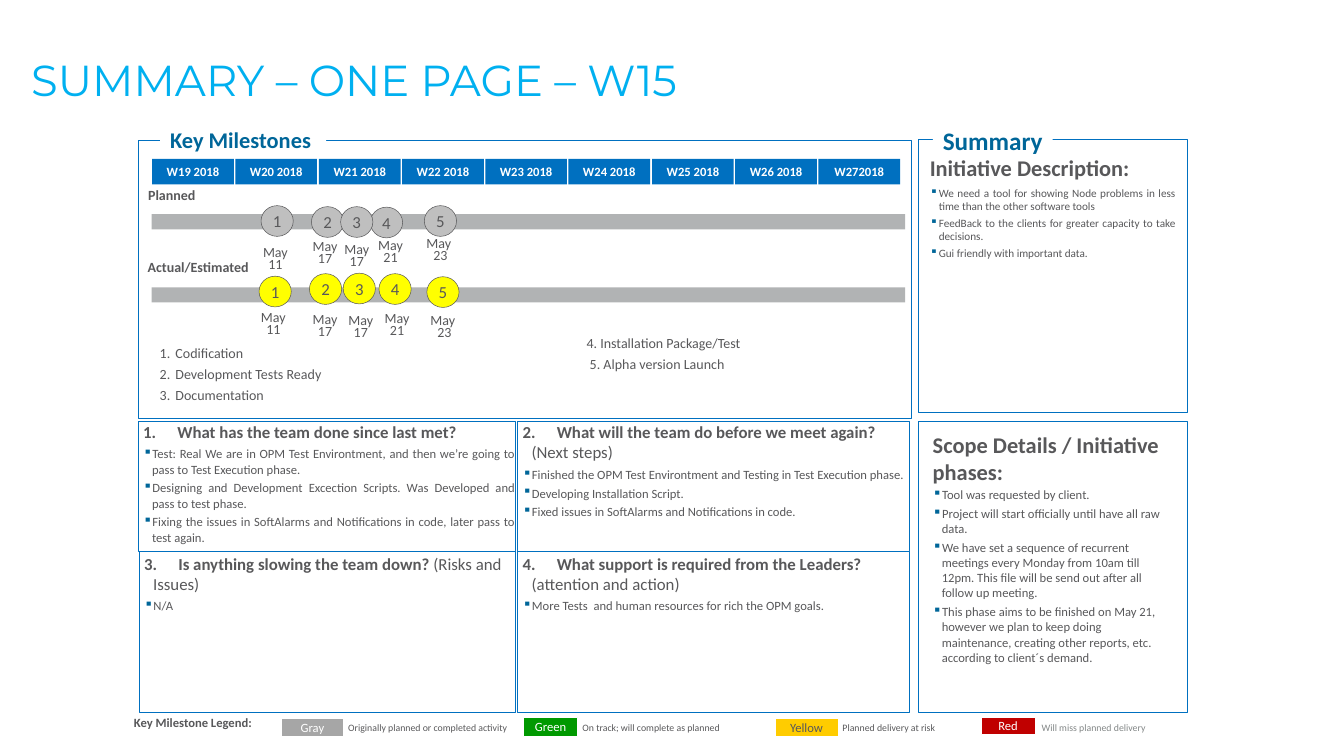
from dataclasses import dataclass
from typing import NamedTuple, Optional

import lxml.etree
import pptx
import pptx.dml.color
import pptx.enum.shapes
import pptx.enum.text
import pptx.oxml.ns
import pptx.util

RGB = pptx.dml.color.RGBColor
ALIGN = pptx.enum.text.PP_ALIGN
KIND = pptx.enum.shapes.MSO_SHAPE
ANCHOR = pptx.enum.text.MSO_ANCHOR

SCALE = 9144  # 100 px to the inch
WHITE = RGB(0xFF, 0xFF, 0xFF)
INK = RGB(0x58, 0x58, 0x5A)
SKY = RGB(0x00, 0xB0, 0xF0)
BLUE = RGB(0x00, 0x70, 0xC0)
TEAL = RGB(0x00, 0x66, 0x99)
TRACK = RGB(0xB1, 0xB3, 0xB4)
SILVER = RGB(0xBF, 0xBF, 0xBF)
GRAY = RGB(0xA6, 0xA6, 0xA6)
GREEN = RGB(0x00, 0x99, 0x00)
AMBER = RGB(0xFF, 0xCC, 0x00)
RED = RGB(0xC0, 0x00, 0x00)
LEMON = RGB(0xFF, 0xFF, 0x00)
ASH = RGB(0x83, 0x87, 0x87)


class Box(NamedTuple):
    x: int
    y: int
    w: int
    h: int


class Run(NamedTuple):
    text: str
    size: float
    bold: bool = False
    color: RGB = INK
    font: str = "Calibri"


@dataclass
class Para:
    runs: list[Run]
    align: ALIGN = ALIGN.LEFT
    hang: int = 0
    bullet: str = ""  # "▪", or "1" for automatic numbers
    before: float = 0
    after: float = 0
    line: Optional[float] = None


@dataclass
class Mark:
    label: str
    x: int
    y: int
    date: str
    left: int
    top: int
    width: int = 108


@dataclass
class Key:
    name: str
    chip: Box
    fill: RGB
    ink: RGB
    note: str
    area: Box
    tint: RGB = INK


def px(n: int) -> int:
    return n * SCALE


def add_bullet(para, kind: str) -> None:
    props = para._p.get_or_add_pPr()

    def sub(parent, tag: str, **attrs: str):
        return lxml.etree.SubElement(parent, pptx.oxml.ns.qn(tag), **attrs)

    if kind == "1":
        sub(props, "a:buAutoNum", type="arabicPeriod")
    else:
        sub(sub(props, "a:buClr"), "a:srgbClr", val=str(TEAL))
        sub(props, "a:buChar", char=kind)


def write(shape, paras: list[Para], pad: tuple = (10, 5, 10, 5),
          middle: bool = False, wrap: bool = True) -> None:
    frame = shape.text_frame
    frame.word_wrap = wrap
    frame.vertical_anchor = ANCHOR.MIDDLE if middle else ANCHOR.TOP
    (frame.margin_left, frame.margin_top,
     frame.margin_right, frame.margin_bottom) = map(px, pad)
    for i, item in enumerate(paras):
        para = frame.add_paragraph() if i else frame.paragraphs[0]
        para.alignment = item.align
        para.space_before = pptx.util.Pt(item.before)
        para.space_after = pptx.util.Pt(item.after)
        if item.line:
            para.line_spacing = item.line
        if item.hang:
            props = para._p.get_or_add_pPr()
            props.set("marL", str(px(item.hang)))
            props.set("indent", str(-px(item.hang)))
        if item.bullet:
            add_bullet(para, item.bullet)
        for part in item.runs:
            run = para.add_run()
            run.text = part.text
            run.font.size = pptx.util.Pt(part.size)
            run.font.bold = part.bold
            run.font.name = part.font
            run.font.color.rgb = part.color


def draw(slide, box: Box, fill: Optional[RGB] = WHITE, edge: Optional[RGB] = None,
         width: float = 0.75, kind: KIND = KIND.RECTANGLE):
    shape = slide.shapes.add_shape(kind, *map(px, box))
    shape.shadow.inherit = False
    if fill is None:
        shape.fill.background()
    else:
        shape.fill.solid()
        shape.fill.fore_color.rgb = fill
    if edge is None:
        shape.line.fill.background()
    else:
        shape.line.color.rgb = edge
        shape.line.width = pptx.util.Pt(width)
    return shape


def note(slide, box: Box, paras: list[Para], pad: tuple = (10, 5, 10, 5)) -> None:
    write(slide.shapes.add_textbox(*map(px, box)), paras, pad)


def spaced(runs: list[Run], **rest) -> Para:
    """Paragraph with 15 % of its text size above and below."""
    gap = round(runs[0].size * 0.15, 1)
    return Para(runs, before=gap, after=gap, **rest)


def points(size: int, texts: list[str], align: ALIGN = ALIGN.JUSTIFY) -> list[Para]:
    return [spaced([Run(t, size)], align=align, hang=18, bullet="▪") for t in texts]


def ask(head: str, tail: str = "") -> Para:
    """Bold question with a plain remark after it."""
    runs = [Run(head, 24, True)] + ([Run(tail, 24)] if tail else [])
    return spaced(runs, hang=18)


def label(slide, box: Box, run: Run, fill: RGB, edge: Optional[RGB] = None,
          align: ALIGN = ALIGN.CENTER, kind: KIND = KIND.RECTANGLE) -> None:
    write(draw(slide, box, fill, edge, kind=kind), [Para([run], align)],
          middle=True, wrap=False)


def lane(slide, title: str, spot: Box, top: int, marks: list[Mark], fill: RGB) -> None:
    draw(slide, Box(301, top, 1495, 30), TRACK)
    note(slide, spot, [Para([Run(title, 20, True)])])
    for m in marks:
        label(slide, Box(m.x, m.y, 64, 61), Run(m.label, 24), fill, INK, kind=KIND.OVAL)
        note(slide, Box(m.left, m.top, m.width, 52),
             [Para([Run(t, 20)], ALIGN.CENTER, before=5, line=0.5)
              for t in m.date.split("|")])


WEEKS = ["W19 2018", "W20 2018", "W21 2018", "W22 2018", "W23 2018",
         "W24 2018", "W25 2018", "W26 2018", "W272018"]
PLAN = [Mark("4", 735, 411, "May|21", 721, 479),
        Mark("2", 618, 410, "May|17", 591, 481),
        Mark("1", 518, 408, "May|11", 469, 492, 155),
        Mark("5", 842, 408, "May |23", 820, 475),
        Mark("3", 676, 410, "May|17", 654, 487)]
ACTUAL = [Mark("4", 752, 543, "May|21", 734, 624),
          Mark("2", 614, 543, "May|17", 591, 626),
          Mark("1", 514, 548, "May|11", 493, 622, 99),
          Mark("5", 847, 549, "May |23", 828, 627),
          Mark("3", 681, 542, "May|17", 662, 627)]
KEYS = [Key("Gray", Box(559, 1426, 122, 34), GRAY, WHITE,
            "Originally planned or completed activity", Box(681, 1426, 359, 36)),
        Key("Green", Box(1039, 1423, 107, 38), GREEN, WHITE,
            "On track; will complete as planned", Box(1146, 1426, 392, 34)),
        Key("Yellow", Box(1538, 1426, 125, 34), AMBER, INK,
            "Planned delivery at risk", Box(1662, 1426, 427, 34)),
        Key("Red", Box(1947, 1423, 107, 34), RED, WHITE,
            "Will miss planned delivery", Box(2057, 1426, 246, 34), ASH)]
QUADS = [
    (Box(274, 836, 748, 257), (10, 1, 0, 5),
     [ask("1.\tWhat has the team done since last met?")] + points(18, [
         "Test: Real We are in OPM Test Environtment, and then we’re going to pass to "
         "Test Execution phase.",
         "Designing and Development Excection Scripts. Was Developed and pass to test phase.",
         "Fixing the issues in SoftAlarms and Notifications in code, later pass to test again."])),
    (Box(1027, 836, 778, 257), (10, 1, 10, 5),
     [ask("2.\tWhat will the team do before we meet again? ", "(Next steps)")] + points(18, [
         "Finished the OPM Test Environtment and Testing in Test Execution phase.",
         "Developing Installation Script.",
         "Fixed issues in SoftAlarms and Notifications in code. "])),
    (Box(276, 1093, 747, 320), (10, 5, 0, 5),
     [ask("3.\tIs anything slowing the team down? ", "(Risks and Issues)")]
     + points(18, ["N/A"], ALIGN.LEFT)),
    (Box(1027, 1093, 778, 320), (10, 5, 10, 5),
     [ask("4.\tWhat support is required from the Leaders? ", "(attention and action)")]
     + points(18, ["More Tests  and human resources for rich the OPM goals."])),
]


def main() -> None:
    deck = pptx.Presentation()
    deck.slide_width, deck.slide_height = px(2667), px(1500)
    slide = deck.slides.add_slide(deck.slide_layouts[6])
    note(slide, Box(56, 100, 2500, 111),
         [Para([Run("SUMMARY – ONE PAGE – W15", 61.9, False, SKY, "Montserrat")])], (6, 6, 6, 6))

    for box in (Box(1822, 276, 534, 543), Box(1822, 836, 534, 577)):
        draw(slide, box, WHITE, BLUE, 1.5)
    draw(slide, Box(274, 278, 1535, 552), None, BLUE, 1.5)
    for box, text, size in ((Box(318, 251, 329, 54), "Key Milestones ", 32),
                            (Box(1851, 249, 238, 61), "Summary", 36)):
        write(draw(slide, box), [Para([Run(text, size, True, TEAL)], ALIGN.CENTER)],
              (10, 0, 10, 0))

    for i, week in enumerate(WEEKS):
        label(slide, Box(302 + round(i * 165.3), 315, 162, 51),
              Run(week, 18, True, WHITE), BLUE)
    lane(slide, "Planned", Box(284, 366, 212, 44), 425, PLAN, SILVER)
    lane(slide, "Actual/Estimated", Box(283, 508, 272, 44), 570, ACTUAL, LEMON)
    note(slide, Box(307, 678, 821, 140),
         [spaced([Run(t, 20)], hang=25, bullet="1")
          for t in (" Codification", " Development Tests Ready", " Documentation")])
    note(slide, Box(1154, 658, 649, 140),
         [spaced([Run(t, 20)])
          for t in ("4. Installation Package/Test", " 5. Alpha version Launch")])

    for box, pad, paras in QUADS:
        write(draw(slide, box, WHITE, BLUE), paras, pad)

    note(slide, Box(1840, 301, 498, 506),
         [spaced([Run("Initiative Description:", 32, True)])] + points(16, [
             "We need a tool for showing Node problems in less time than the other software tools",
             "FeedBack to the clients for greater capacity to take decisions.",
             "Gui friendly with important data."]), (5, 5, 5, 5))
    note(slide, Box(1841, 851, 498, 543),
         [Para([Run("Scope Details / Initiative phases:", 32, True)])] + points(18, [
             "Tool was requested by client.",
             "Project will start officially until have all raw data.",
             "We have set a sequence of recurrent meetings every Monday from 10am till 12pm. "
             "This file will be send out after all follow up meeting.",
             "This phase aims to be finished on May 21, however we plan to keep doing "
             "maintenance, creating other reports, etc. according to client´s demand."],
             ALIGN.LEFT))

    note(slide, Box(256, 1413, 356, 40), [Para([Run("Key Milestone Legend:", 18, True)])])
    for key in KEYS:
        label(slide, key.area, Run(key.note, 14, False, key.tint), WHITE, align=ALIGN.LEFT)
        label(slide, key.chip, Run(key.name, 18, False, key.ink), key.fill, WHITE)
    deck.save("out.pptx")


if __name__ == "__main__":
    main()
